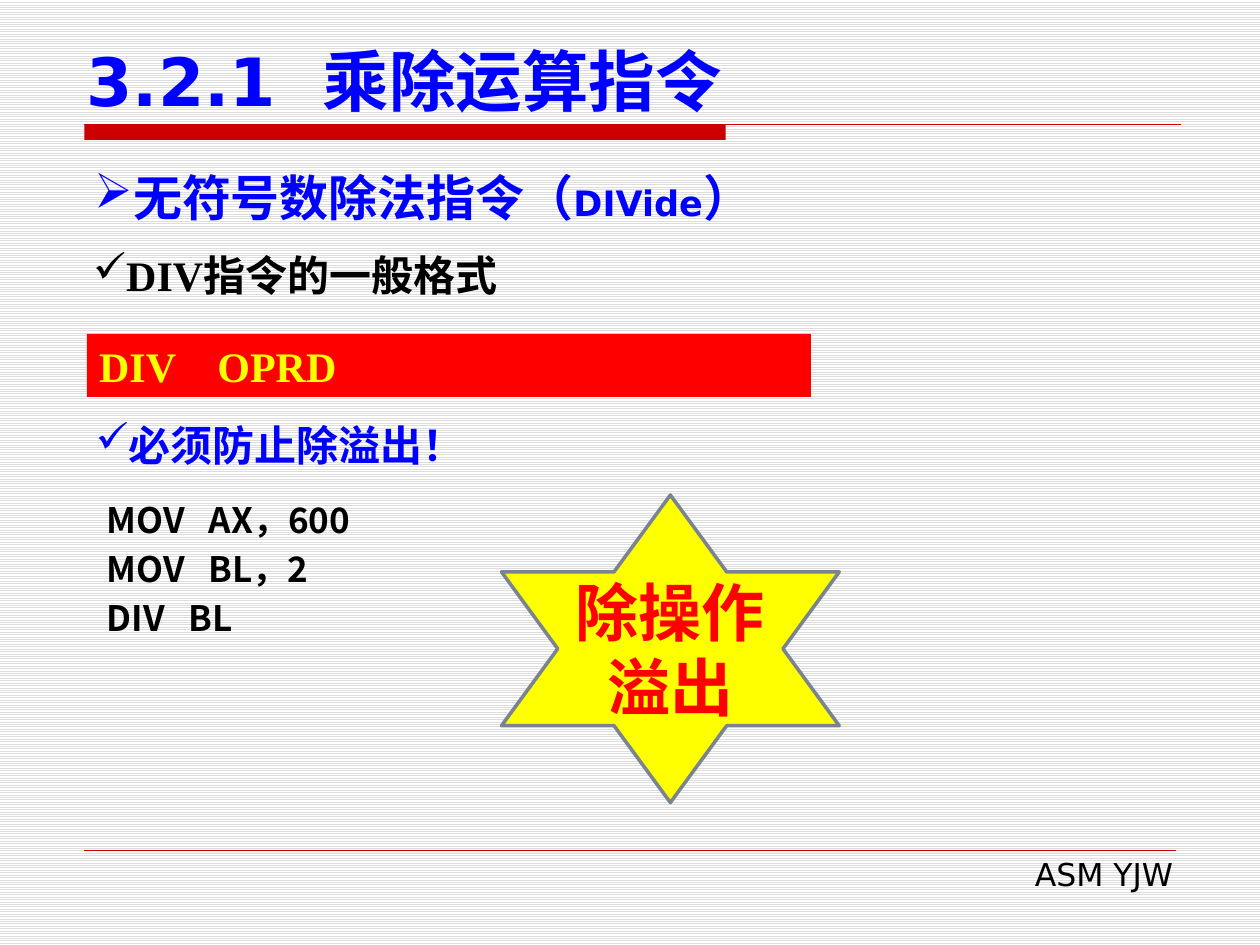
from dataclasses import dataclass
from typing import Optional

from lxml import etree
from pptx import Presentation
from pptx import util as u
from pptx.dml.color import RGBColor
from pptx.enum import dml, shapes, text
from pptx.oxml.ns import qn

RED = RGBColor(0xFF, 0, 0)
DARK = RGBColor(0xCC, 0, 0)
BLUE = RGBColor(0, 0, 0xFF)
YELLOW = RGBColor(0xFF, 0xFF, 0)
BLACK = RGBColor(0, 0, 0)
WHITE = RGBColor(0xFF, 0xFF, 0xFF)
GREY = RGBColor(0xDD, 0xDD, 0xDD)
SLATE = RGBColor(0x79, 0x84, 0x8F)
SANS, SERIF, CJK = "DejaVu Sans", "Times New Roman", "Noto Sans CJK SC"
LEFT, MID, JUST = text.PP_ALIGN.LEFT, text.PP_ALIGN.CENTER, text.PP_ALIGN.JUSTIFY
RIGHT = text.PP_ALIGN.RIGHT
TOP, CENTRE, BASE = (text.MSO_ANCHOR.TOP, text.MSO_ANCHOR.MIDDLE,
                     text.MSO_ANCHOR.BOTTOM)


@dataclass
class Label:
    """Lines of (words, size) runs in one style; box is in centimetres."""
    box: tuple
    lines: list
    face: str
    ink: RGBColor
    bold: bool = True
    mark: str = ""
    align: text.PP_ALIGN = LEFT
    anchor: text.MSO_ANCHOR = TOP
    form: Optional[shapes.MSO_SHAPE] = None
    fill: Optional[RGBColor] = None
    edge: Optional[RGBColor] = None


LABELS = [
    Label((9.7, 17.12, 14.2, 1.02), [[("ASM YJW", 18)]], SANS, BLACK,
          bold=False, align=RIGHT),
    Label((1.5, 0.74, 23, 1.8), [[("3.2.1  乘除运算指令", 38)]], SANS, BLUE,
          anchor=BASE),
    Label((1.63, 4.9, 18.6, 1.27), [[("DIV指令的一般格式", 24)]], SERIF, BLACK,
          mark="✓"),
    Label((1.75, 6.73, 14.6, 1.27), [[("DIV    OPRD", 24)]], SERIF, YELLOW,
          form=shapes.MSO_SHAPE.RECTANGLE, fill=RED),
    Label((1.65, 3.25, 22, 1.45),
          [[("无符号数除法指令（", 28), ("DIVide", 20), ("）", 28)]], SANS, BLUE,
          mark="➢", align=JUST),
    Label((1.68, 8.33, 22, 1.27), [[("必须防止除溢出！", 24)]], SERIF, BLUE,
          mark="✓"),
    Label((1.9, 9.93, 19.86, 3.18),
          [[("MOV   AX，600", 20)], [("MOV   BL，2", 20)], [("DIV   BL", 20)]],
          CJK, BLACK),
    Label((10.11, 9.98, 6.81, 6.2), [[("除操作溢出", 36)]], SANS, RED,
          align=MID, anchor=CENTRE, form=shapes.MSO_SHAPE.STAR_6_POINT,
          fill=YELLOW, edge=SLATE),
]


def solid(slide, form, box, fill, edge=None):
    """Add a filled preset shape, outlined only when edge is given."""
    shape = slide.shapes.add_shape(form, *map(u.Cm, box))
    shape.shadow.inherit = False
    shape.fill.solid()
    shape.fill.fore_color.rgb = fill
    if edge is None:
        shape.line.fill.background()
    else:
        shape.line.color.rgb = edge
        shape.line.width = u.Pt(2)
    return shape


def rule(slide, start: float, end: float, top: float, width: float) -> None:
    line = slide.shapes.add_connector(
        shapes.MSO_CONNECTOR.STRAIGHT, *map(u.Cm, (start, top, end, top)))
    line.line.color.rgb = DARK
    line.line.width = u.Pt(width)
    etree.SubElement(line._element.spPr, qn("a:effectLst"))


def write(slide, label: Label) -> None:
    if label.form is None:
        shape = slide.shapes.add_textbox(*map(u.Cm, label.box))
    else:
        shape = solid(slide, label.form, label.box, label.fill, label.edge)
    frame = shape.text_frame
    frame.word_wrap = True
    frame.vertical_anchor = label.anchor
    for i, runs in enumerate(label.lines):
        para = frame.add_paragraph() if i else frame.paragraphs[0]
        para.alignment = label.align
        if i:
            para.space_before = u.Pt(4)
        if label.mark:
            props = para._p.get_or_add_pPr()
            etree.SubElement(props, qn("a:buChar"), char=label.mark)
        font = para.font
        font.name, font.bold = label.face, label.bold
        font.color.rgb = label.ink
        sizes = {size for _, size in runs}
        if len(sizes) == 1:
            font.size = u.Pt(sizes.pop())
        for words, size in runs:
            run = para.add_run()
            run.text = words
            if font.size is None:
                run.font.size = u.Pt(size)


def main() -> None:
    deck = Presentation()
    deck.slide_width, deck.slide_height = u.Cm(25.4), u.Cm(19.05)
    slide = deck.slides.add_slide(deck.slide_layouts[6])
    back = slide.background.fill
    back.patterned()
    back.pattern = dml.MSO_PATTERN.LIGHT_HORIZONTAL
    back.fore_color.rgb, back.back_color.rgb = GREY, WHITE

    solid(slide, shapes.MSO_SHAPE.RECTANGLE, (1.7, 2.51, 12.93, 0.31), DARK)
    rule(slide, 1.7, 23.8, 2.51, 0.75)
    rule(slide, 1.7, 23.7, 17.14, 0.25)
    for label in LABELS:
        write(slide, label)
    deck.save("out.pptx")


if __name__ == "__main__":
    main()
